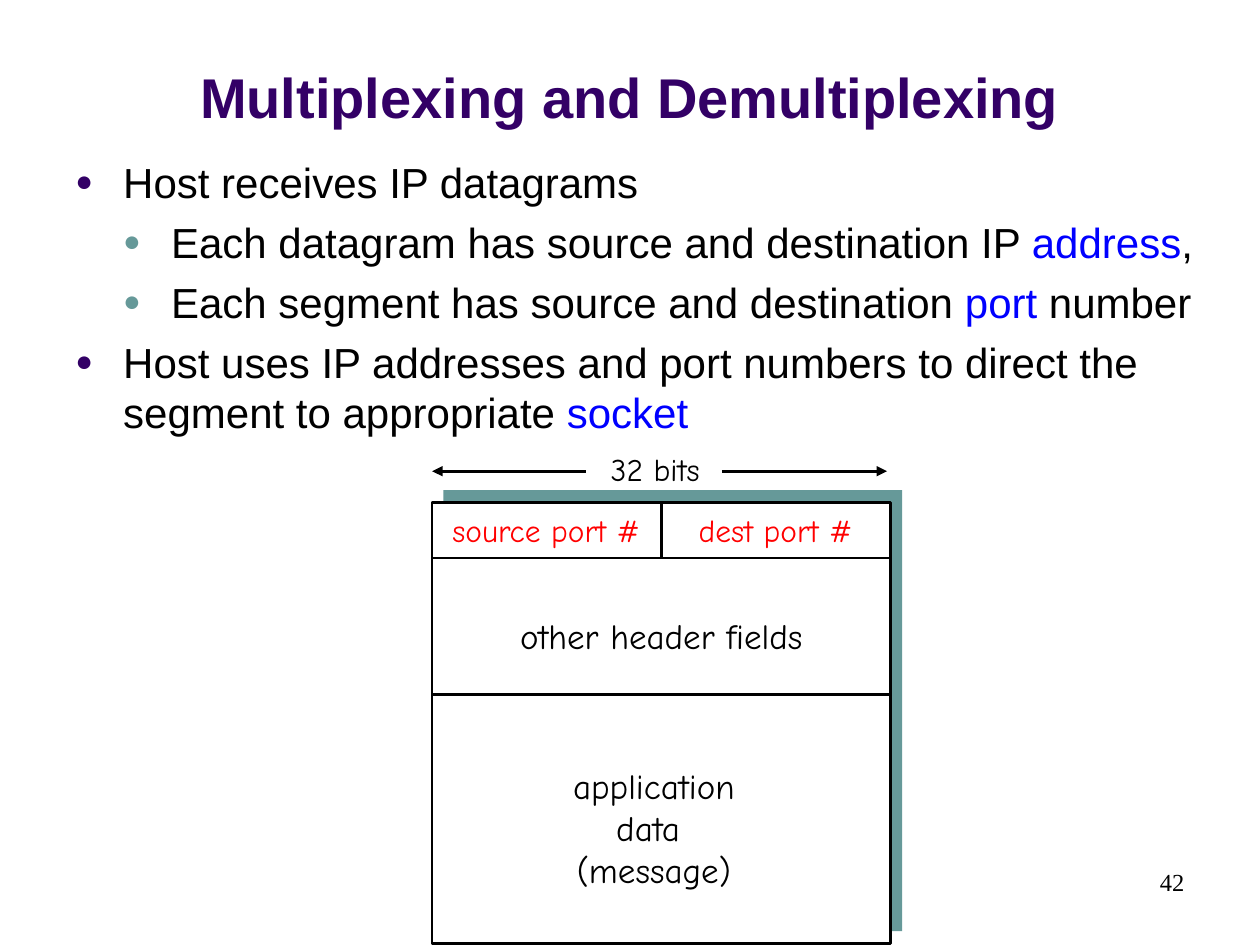
"""Build the slide on multiplexing and demultiplexing with its segment diagram."""
from lxml import etree
from pptx import Presentation
from pptx.dml.color import RGBColor
from pptx.enum import shapes, text
from pptx.oxml.ns import qn
from pptx.util import Inches, Pt

C = {"title": "330066", "teal": "669999", "key": "0000FF",
     "port": "FF0000", "ink": "000000", "paper": "FFFFFF"}

prs = Presentation()
prs.slide_width, prs.slide_height = Inches(10), Inches(7.5)
COL, ROW = prs.slide_width / 100, prs.slide_height / 75


def grid(*cells):
    """Turn alternating column and row counts into lengths."""
    return [round(n * (ROW if i % 2 else COL)) for i, n in enumerate(cells)]


def write(s, paras, font="Comic Neue", size=18, color="ink", bold=False,
          align="CENTER", wrap=False, anchor="TOP"):
    """Fill a shape with paragraphs, each a string or a list of (text, colour) runs."""
    tf = s.text_frame
    tf.word_wrap = wrap
    tf.auto_size = text.MSO_AUTO_SIZE.NONE if wrap else text.MSO_AUTO_SIZE.SHAPE_TO_FIT_TEXT
    tf.vertical_anchor = text.MSO_ANCHOR[anchor]
    for i, runs in enumerate(paras):
        p = tf.add_paragraph() if i else tf.paragraphs[0]
        p.alignment = text.PP_ALIGN[align]
        for words, tint in [(runs, color)] if isinstance(runs, str) else runs:
            r = p.add_run()
            r.text = words
            r.font.name, r.font.size, r.font.bold = font, Pt(size), bold
            r.font.color.rgb = RGBColor.from_string(C[tint])
    return tf


s = prs.slides.add_slide(prs.slide_layouts[5])
title = s.shapes.title
title.left, title.top, title.width, title.height = grid(0, 1.3, 100, 9.5)
write(title, ["Multiplexing and Demultiplexing"], font="Arial", size=32,
      color="title", bold=True, wrap=True, anchor="BOTTOM")

points = [
    (0, [("Host receives IP datagrams", "ink")]),
    (1, [("Each datagram has source and destination IP ", "ink"),
         ("address", "key"), (",", "ink")]),
    (1, [("Each segment has source and destination ", "ink"),
         ("port", "key"), (" number", "ink")]),
    (0, [("Host uses IP addresses and port numbers to direct the segment "
          "to appropriate ", "ink"), ("socket", "key")]),
]
body = s.shapes.add_textbox(*grid(5, 11.9, 93.3, 55.2))
tf = write(body, [runs for _, runs in points], font="Arial", size=24, align="LEFT", wrap=True)
indent = Inches(0.38)
for p, (level, _) in zip(tf.paragraphs, points):
    p.level = level
    p.space_before = Pt(5.5)
    pPr = p._p.get_or_add_pPr()
    pPr.set("marL", str(indent * (level + 1)))
    pPr.set("indent", str(-indent))
    tint = etree.SubElement(pPr, qn("a:buClr"))
    etree.SubElement(tint, qn("a:srgbClr"), val=C["teal" if level else "title"])
    etree.SubElement(pPr, qn("a:buSzPct"), val="70000")
    etree.SubElement(pPr, qn("a:buFont"), typeface="Arial")
    etree.SubElement(pPr, qn("a:buChar"), char="●")

number = s.shapes.add_textbox(*grid(71.7, 68.3, 23.3, 5))
write(number, ["42"], font="Times New Roman", size=14, align="RIGHT", wrap=True)

LEFT, TOP, WIDTH, HEIGHT = 34.3, 39.9, 36.4, 35
RIGHT, MIDDLE = LEFT + WIDTH, LEFT + WIDTH / 2
for dx, dy, fill in [(0.9, -1, "teal"), (0, 0, "paper")]:
    packet = s.shapes.add_shape(shapes.MSO_SHAPE.RECTANGLE,
                                *grid(LEFT + dx, TOP + dy, WIDTH, HEIGHT))
    packet.shadow.inherit = False
    packet.fill.solid()
    packet.fill.fore_color.rgb = RGBColor.from_string(C[fill])
    packet.line.fill.background()
packet.line.color.rgb = RGBColor.from_string(C["ink"])
packet.line.width = Pt(1.5)

PORTS, DATA, RULER = TOP + 4.4, TOP + 15.2, 37.4
lines = [
    (LEFT, PORTS, RIGHT, PORTS, False),
    (LEFT, DATA, RIGHT, DATA, False),
    (MIDDLE, TOP, MIDDLE, PORTS, False),
    (57.3, RULER, RIGHT - 0.3, RULER, True),
    (46.5, RULER, LEFT, RULER, True),
]
for *ends, arrow in lines:
    line = s.shapes.add_connector(shapes.MSO_CONNECTOR.STRAIGHT, *grid(*ends))
    line.line.color.rgb = RGBColor.from_string(C["ink"])
    line.line.width = Pt(1.5)
    etree.SubElement(line._element.spPr, qn("a:effectLst"))
    if arrow:
        etree.SubElement(line.line._get_or_add_ln(), qn("a:tailEnd"), type="triangle")
    if ends[:2] == [MIDDLE, TOP]:
        line.begin_connect(packet, 0)

labels = [
    (34.2, 40.1, 18.3, 4, ["source port #"], 18, "port"),
    (53.6, 40.1, 15.9, 4, ["dest port #"], 18, "port"),
    (46.8, 35.2, 10.4, 4, ["32 bits"], 18, "ink"),
    (44, 60.2, 15.8, 11, ["application", "data ", "(message)"], 20, "ink"),
    (38.8, 48.3, 27.4, 4.3, ["other header fields"], 20, "ink"),
]
for *place, paras, size, color in labels:
    write(s.shapes.add_textbox(*grid(*place)), paras, size=size, color=color)

prs.save("out.pptx")
